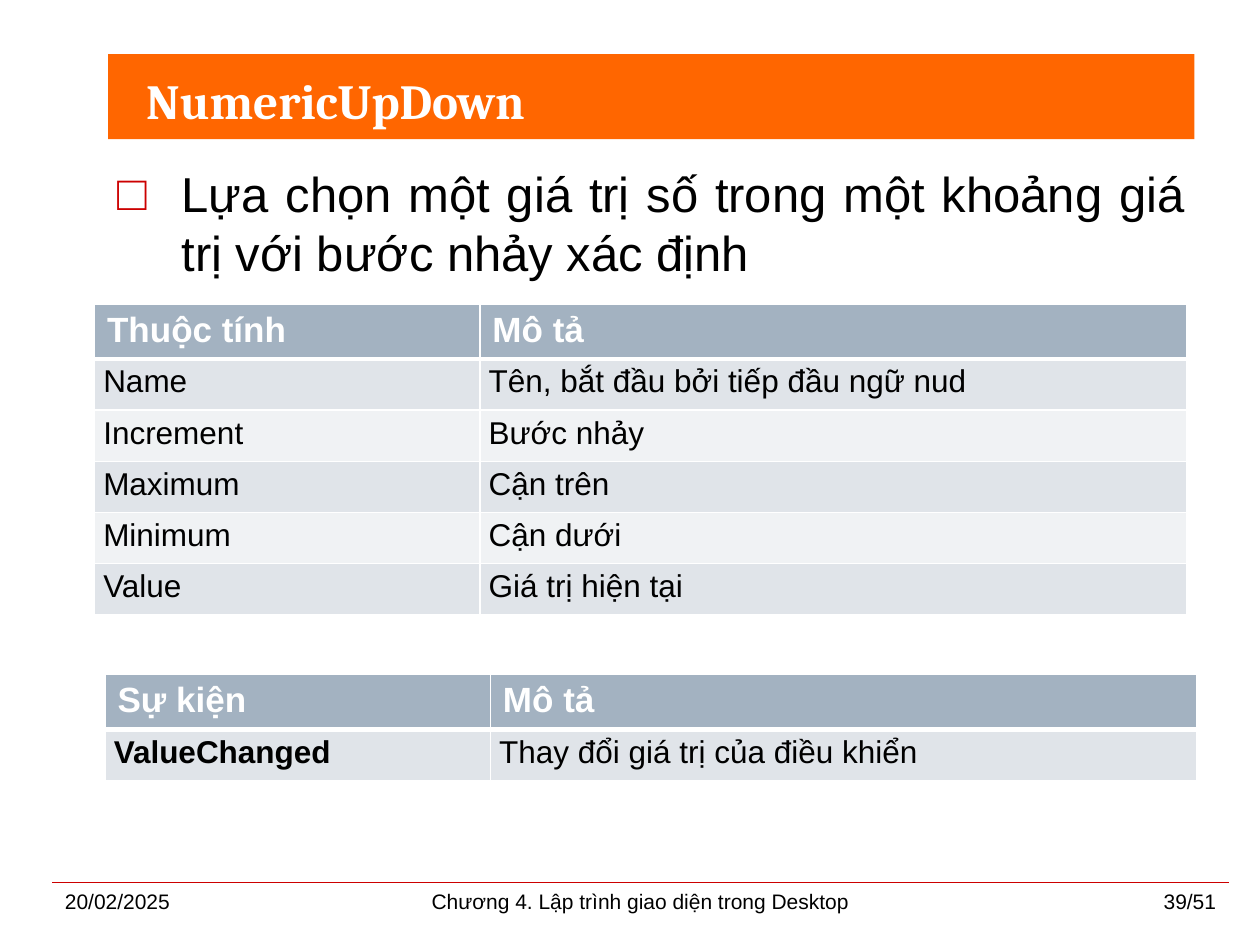
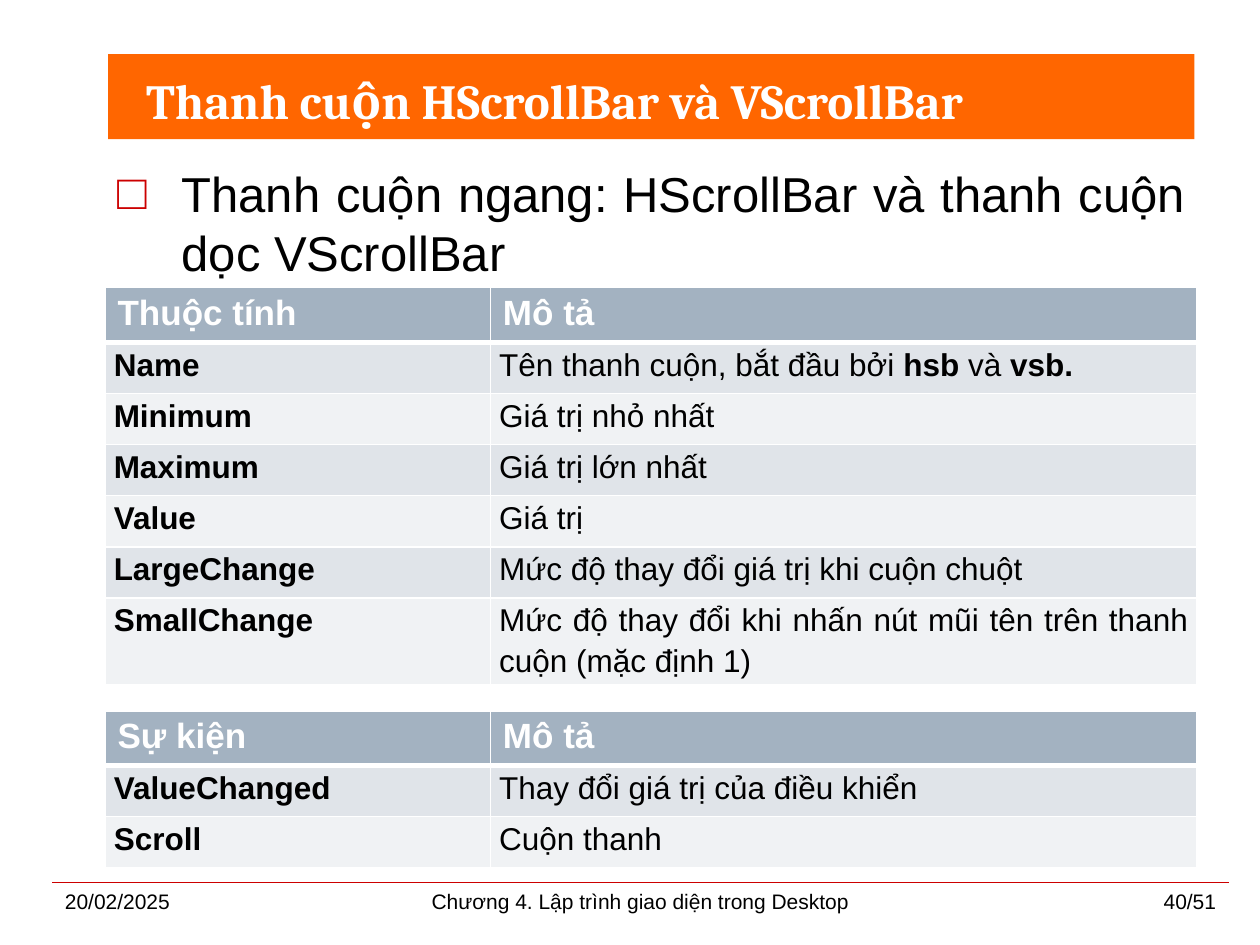
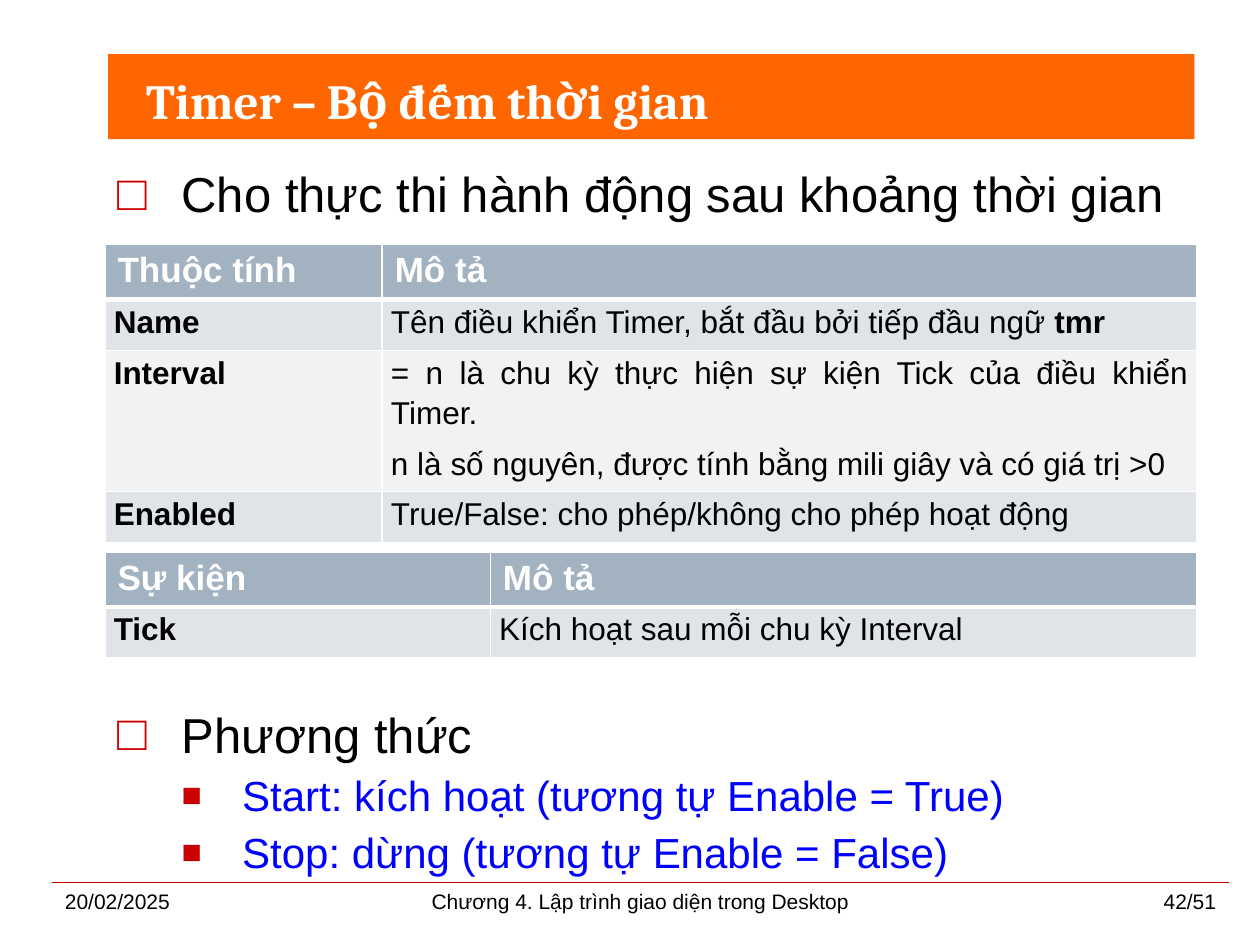
"""Build three slides on form controls: numeric box, scroll bars and timer."""
from dataclasses import dataclass

from lxml import etree
from pptx import Presentation
from pptx import util as u
from pptx.dml.color import RGBColor
from pptx.enum import shapes, text
from pptx.oxml import ns

COLUMNS, ROWS = 120, 90
UNIT = u.Inches(10) // COLUMNS
LEFT, WIDTH = 10, 104
ROW_HEIGHT = 4.87
EVENT_SPLIT = 36.7

BLACK, WHITE, RED, BLUE = "000000", "FFFFFF", "CC0000", "0000FF"
ORANGE, HEADER = "FF6600", "A3B2C1"
STRIPES = ("E0E4E9", "F0F2F4")
FOOTER = "Chương 4. Lập trình giao diện trong Desktop"
DATE = "20/02/2025"
ALIGN = text.PP_ALIGN


@dataclass(frozen=True)
class Area:
    """A rectangle in grid units."""
    left: float
    top: float
    width: float
    height: float

    def emu(self) -> tuple:
        """Return the rectangle in slide lengths."""
        return tuple(grid(n) for n in (self.left, self.top, self.width, self.height))


@dataclass(frozen=True)
class Bullet:
    """The look of one outline level."""
    mark: str
    scale: int
    indent: float
    hang: float
    size: int
    color: str
    before: float


@dataclass(frozen=True)
class Outline:
    """Bulleted lines, each paired with its level."""
    top: float
    height: float
    lines: tuple


@dataclass(frozen=True)
class Grid:
    """A two-column table with a heading; asterisks enclose bold words."""
    top: float
    split: float
    heading: str
    rows: tuple
    left: float = LEFT


@dataclass(frozen=True)
class Topic:
    """The content of one slide."""
    title: str
    number: str
    outlines: tuple
    grids: tuple


LEVELS = (
    Bullet("□", 100, 0.51, 0.51, 28, BLACK, 5.6),
    Bullet("■", 80, 0.99, 0.48, 24, BLUE, 3.6),
)
TITLE_AREA = Area(12.75, 5, 98.25, 9)
BAND_AREA = Area(10.3, 5.15, 103.45, 8.1)

TOPICS = (
    Topic(
        "NumericUpDown", "39/51",
        (Outline(15, 14, (
            (0, "Lựa chọn một giá trị số trong một khoảng giá trị với bước nhảy xác định"),
        )),),
        (
            Grid(29, EVENT_SPLIT, "Thuộc tính", (
                ("Name", "Tên, bắt đầu bởi tiếp đầu ngữ nud"),
                ("Increment", "Bước nhảy"),
                ("Maximum", "Cận trên"),
                ("Minimum", "Cận dưới"),
                ("Value", "Giá trị hiện tại"),
            ), left=9),
            Grid(64.25, EVENT_SPLIT, "Sự kiện", (
                ("*ValueChanged*", "Thay đổi giá trị của điều khiển"),
            )),
        ),
    ),
    Topic(
        "Thanh cuộn HScrollBar và VScrollBar", "40/51",
        (Outline(15, 12, (
            (0, "Thanh cuộn ngang: HScrollBar và thanh cuộn dọc VScrollBar"),
        )),),
        (
            Grid(27.4, EVENT_SPLIT, "Thuộc tính", (
                ("*Name*", "Tên thanh cuộn, bắt đầu bởi *hsb* và *vsb.*"),
                ("*Minimum*", "Giá trị nhỏ nhất"),
                ("*Maximum*", "Giá trị lớn nhất"),
                ("*Value*", "Giá trị"),
                ("*LargeChange*", "Mức độ thay đổi giá trị khi cuộn chuột"),
                ("*SmallChange*",
                 "Mức độ thay đổi khi nhấn nút mũi tên trên thanh cuộn (mặc định 1)"),
            )),
            Grid(67.7, EVENT_SPLIT, "Sự kiện", (
                ("*ValueChanged*", "Thay đổi giá trị của điều khiển"),
                ("*Scroll*", "Cuộn thanh"),
            )),
        ),
    ),
    Topic(
        "Timer – Bộ đếm thời gian", "42/51",
        (
            Outline(15, 8, ((0, "Cho thực thi hành động sau khoảng thời gian"),)),
            Outline(66.5, 17, (
                (0, "Phương thức"),
                (1, "Start: kích hoạt (tương tự Enable = True)"),
                (1, "Stop: dừng (tương tự Enable = False)"),
            )),
        ),
        (
            Grid(23.3, 26.4, "Thuộc tính", (
                ("*Name*", "Tên điều khiển Timer, bắt đầu bởi tiếp đầu ngữ *tmr*"),
                ("*Interval*",
                 "= n là chu kỳ thực hiện sự kiện Tick của điều khiển Timer.\n"
                 "n là số nguyên, được tính bằng mili giây và có giá trị >0"),
                ("*Enabled*", "True/False: cho phép/không cho phép hoạt động"),
            )),
            Grid(52.6, EVENT_SPLIT, "Sự kiện", (
                ("*Tick*", "Kích hoạt sau mỗi chu kỳ Interval"),
            )),
        ),
    ),
)


def grid(units: float) -> int:
    """Convert grid units to a slide length."""
    return round(units * UNIT)


def rgb(value: str) -> RGBColor:
    """Convert a hex string to a colour."""
    return RGBColor.from_string(value)


def add_element(parent, tag: str, **attributes: str):
    """Append an XML element and return it."""
    return etree.SubElement(parent, ns.qn(tag), attributes)


def set_bullet(para, bullet: Bullet) -> None:
    """Give a paragraph its mark and hanging indent."""
    props = para._p.get_or_add_pPr()
    props.set("marL", str(u.Inches(bullet.indent)))
    props.set("indent", str(-u.Inches(bullet.hang)))
    add_element(add_element(props, "a:buClr"), "a:srgbClr", val=RED)
    add_element(props, "a:buSzPct", val=str(bullet.scale * 1000))
    add_element(props, "a:buFont", typeface="Arial")
    add_element(props, "a:buChar", char=bullet.mark)


def write(frame, words: str, *, size: float, color: str = BLACK, font: str = "Arial",
          bold: bool = False, align=ALIGN.LEFT, line: float | None = None,
          before: float = 0, after: float = 0, bullet: Bullet | None = None) -> None:
    """Add paragraphs, one per line, with bold words between asterisks."""
    for row in words.split("\n"):
        started = bool(frame.text)
        para = frame.add_paragraph() if started else frame.paragraphs[0]
        para.alignment = align
        para.line_spacing = line
        para.space_before = u.Pt(before if started else 0)
        para.space_after = u.Pt(after)
        if bullet:
            set_bullet(para, bullet)
        for index, part in enumerate(row.split("*")):
            if part:
                span = para.add_run()
                span.text = part
                span.font.name = font
                span.font.size = u.Pt(size)
                span.font.bold = bold or index % 2 == 1
                span.font.color.rgb = rgb(color)


def add_box(page, area: Area, anchor=text.MSO_ANCHOR.TOP):
    """Add a wrapping text box and return its frame."""
    frame = page.shapes.add_textbox(*area.emu()).text_frame
    frame.word_wrap = True
    frame.vertical_anchor = anchor
    return frame


def add_frame(page, title: str, number: str) -> None:
    """Draw the title band and the footer."""
    rule = page.shapes.add_connector(
        shapes.MSO_CONNECTOR.STRAIGHT, grid(5), grid(84), grid(117), grid(84))
    rule.line.color.rgb = rgb(RED)
    rule.line.width = u.Pt(0.25)
    add_element(rule._element.spPr, "a:effectLst")

    band = page.shapes.add_shape(shapes.MSO_SHAPE.RECTANGLE, *BAND_AREA.emu())
    band.shadow.inherit = False
    band.fill.solid()
    band.fill.fore_color.rgb = rgb(ORANGE)
    band.line.fill.background()
    write(add_box(page, TITLE_AREA, text.MSO_ANCHOR.MIDDLE), title,
          size=28, color=WHITE, font="Cambria", bold=True)

    for left, width, words, align in (
        (5, 26, DATE, ALIGN.LEFT),
        (35, 52, FOOTER, ALIGN.CENTER),
        (91, 26, number, ALIGN.RIGHT),
    ):
        write(add_box(page, Area(left, 84, width, 4.2)), words, size=12, align=align)


def add_outline(page, outline: Outline) -> None:
    """Draw a bulleted text box."""
    frame = add_box(page, Area(LEFT, outline.top, WIDTH, outline.height))
    for level, words in outline.lines:
        bullet = LEVELS[level]
        write(frame, words, size=bullet.size, color=bullet.color,
              align=ALIGN.JUSTIFY, before=bullet.before, bullet=bullet)


def style_cell(cell, row: int) -> None:
    """Set the borders, fill and margins of a cell."""
    props = cell._tc.get_or_add_tcPr()
    widths = {"L": 1, "R": 1, "T": 3 if row == 1 else 1, "B": 3 if row == 0 else 1}
    for side, width in widths.items():
        edge = add_element(props, f"a:ln{side}", w=str(u.Pt(width)))
        add_element(add_element(edge, "a:solidFill"), "a:srgbClr", val=WHITE)
    cell.fill.solid()
    cell.fill.fore_color.rgb = rgb(STRIPES[(row - 1) % 2] if row else HEADER)
    cell.margin_left = cell.margin_right = u.Inches(0.07 if row else 0.1)
    cell.margin_top = cell.margin_bottom = u.Inches(0 if row else 0.05)


def add_grid(page, spec: Grid) -> None:
    """Draw a table with a heading row and striped rows."""
    rows = ((spec.heading, "Mô tả"), *spec.rows)
    area = Area(spec.left, spec.top, WIDTH, ROW_HEIGHT * len(rows))
    table = page.shapes.add_table(len(rows), 2, *area.emu()).table
    table.horz_banding = False
    table.columns[0].width = grid(spec.split)
    table.columns[1].width = grid(WIDTH - spec.split)
    for row, entries in enumerate(rows):
        table.rows[row].height = grid(ROW_HEIGHT)
        for column, words in enumerate(entries):
            cell = table.cell(row, column)
            style_cell(cell, row)
            if row:
                write(cell.text_frame, words, size=18, align=ALIGN.JUSTIFY,
                      line=1.15, after=6)
            else:
                write(cell.text_frame, words, size=20, color=WHITE, bold=True)


def main() -> None:
    """Build and save the deck."""
    deck = Presentation()
    deck.slide_width, deck.slide_height = COLUMNS * UNIT, ROWS * UNIT
    for topic in TOPICS:
        page = deck.slides.add_slide(deck.slide_layouts[6])
        add_frame(page, topic.title, topic.number)
        for outline in topic.outlines:
            add_outline(page, outline)
        for spec in topic.grids:
            add_grid(page, spec)
    deck.save("out.pptx")


if __name__ == "__main__":
    main()
